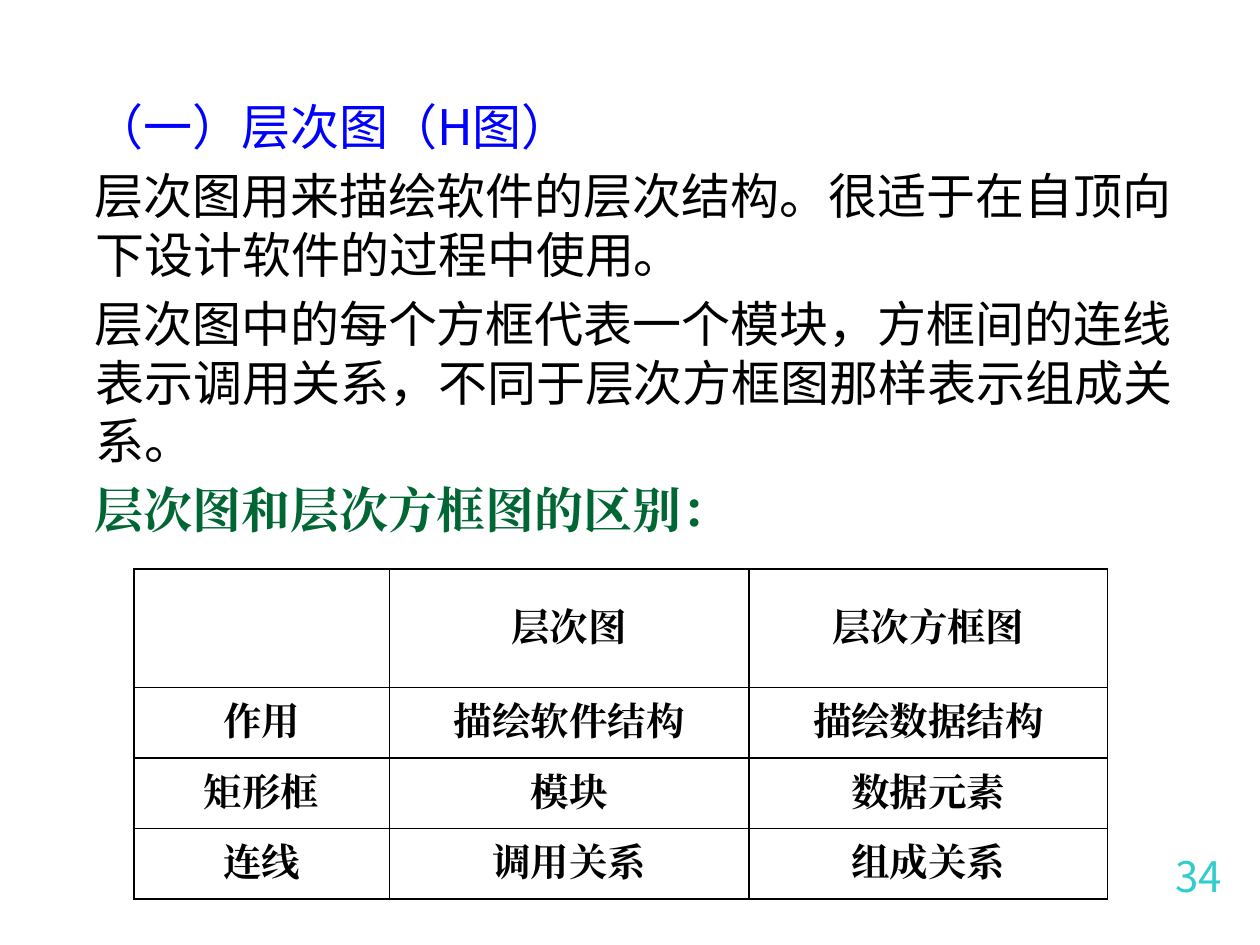
"""Build a slide on hierarchy charts with a comparison table."""
import pptx
import pptx.dml.color
import pptx.enum.text
import pptx.oxml
import pptx.oxml.ns
import pptx.util
from lxml import etree

Pt = pptx.util.Pt
Align = pptx.enum.text.PP_ALIGN
Anchor = pptx.enum.text.MSO_ANCHOR
Fit = pptx.enum.text.MSO_AUTO_SIZE
qn = pptx.oxml.ns.qn

SANS, SERIF = "Noto Sans CJK SC", "Times New Roman"
LINES = [
    ("（一）层次图（H图）", SANS, "0000FF", False),
    ("层次图用来描绘软件的层次结构。很适于在自顶向下设计软件的过程中使用。",
     SANS, "000000", False),
    ("层次图中的每个方框代表一个模块，方框间的连线表示调用关系，不同于层次方框图那样表示组成关系。",
     SANS, "000000", False),
    ("层次图和层次方框图的区别：", SERIF, "006633", True),
]
ROWS = [
    ("", "层次图", "层次方框图"),
    ("作用", "描绘软件结构", "描绘数据结构"),
    ("矩形框", "模块", "数据元素"),
    ("连线", "调用关系", "组成关系"),
]
WIDTHS = [146, 205.5, 205]
HEIGHTS = [67.8, 40.3, 40.3, 40.3]


def style(para, size, face, color, bold=False):
    for run in para.runs:
        font = run.font
        font.size, font.name, font.bold = Pt(size), face, bold
        font.color.rgb = pptx.dml.color.RGBColor.from_string(color)
        east = etree.SubElement(font._element, qn("a:ea"))
        east.set("typeface", face)


def indent(para, left, first):
    props = para._p.get_or_add_pPr()
    props.set("marL", str(Pt(left)))
    props.set("indent", str(Pt(first)))


def border(cell):
    props = cell._tc.get_or_add_tcPr()
    for side in ("lnL", "lnR", "lnT", "lnB"):
        line = etree.SubElement(props, qn("a:" + side), w=str(Pt(1)))
        fill = etree.SubElement(line, qn("a:solidFill"))
        etree.SubElement(fill, qn("a:srgbClr"), val="000000")


def add_body(slide):
    title = slide.shapes.title._element
    title.getparent().remove(title)
    body = slide.placeholders[1]
    body.left, body.top, body.width, body.height = map(Pt, (25.2, 49, 660.2, 266.4))
    frame = body.text_frame
    frame.text = "\n".join(line[0] for line in LINES)
    frame.word_wrap, frame.auto_size = True, Fit.NONE
    frame.vertical_anchor, frame.margin_top = Anchor.TOP, Pt(6)
    for i, (para, line) in enumerate(zip(frame.paragraphs, LINES)):
        para.alignment, para.line_spacing = Align.LEFT, Pt(33.7)
        para.space_before = Pt(5.6 if i else 0)
        indent(para, 22.3, -0.7)
        style(para, 28, *line[1:])


def add_grid(slide):
    grid = slide.shapes.add_table(
        len(ROWS), len(WIDTHS), Pt(76.5), Pt(325.2),
        Pt(sum(WIDTHS)), Pt(sum(HEIGHTS))).table
    grid.first_row = grid.horz_banding = False
    for col, width in zip(grid.columns, WIDTHS):
        col.width = Pt(width)
    for r, (row, height) in enumerate(zip(ROWS, HEIGHTS)):
        grid.rows[r].height = Pt(height)
        for c, text in enumerate(row):
            cell = grid.cell(r, c)
            border(cell)
            cell.fill.background()
            cell.vertical_anchor = Anchor.MIDDLE
            cell.text_frame.text = text
            para = cell.text_frame.paragraphs[0]
            para.alignment = Align.CENTER
            indent(para, 27, -27)
            style(para, 22, SERIF, "000000", True)


def add_number(slide):
    box = slide.shapes.add_textbox(Pt(664.5), Pt(481.7), Pt(44.6), Pt(36.7))
    frame = box.text_frame
    frame.text = "34"
    frame.word_wrap, frame.auto_size = False, Fit.SHAPE_TO_FIT_TEXT
    para = frame.paragraphs[0]
    para.line_spacing = Pt(29.5)
    style(para, 24, SANS, "33CCCC")


def main():
    deck = pptx.Presentation()
    deck.slide_width, deck.slide_height = Pt(720), Pt(540)
    slide = deck.slides.add_slide(deck.slide_layouts[0])
    add_body(slide)
    add_number(slide)
    add_grid(slide)
    deck.save("out.pptx")


if __name__ == "__main__":
    main()
